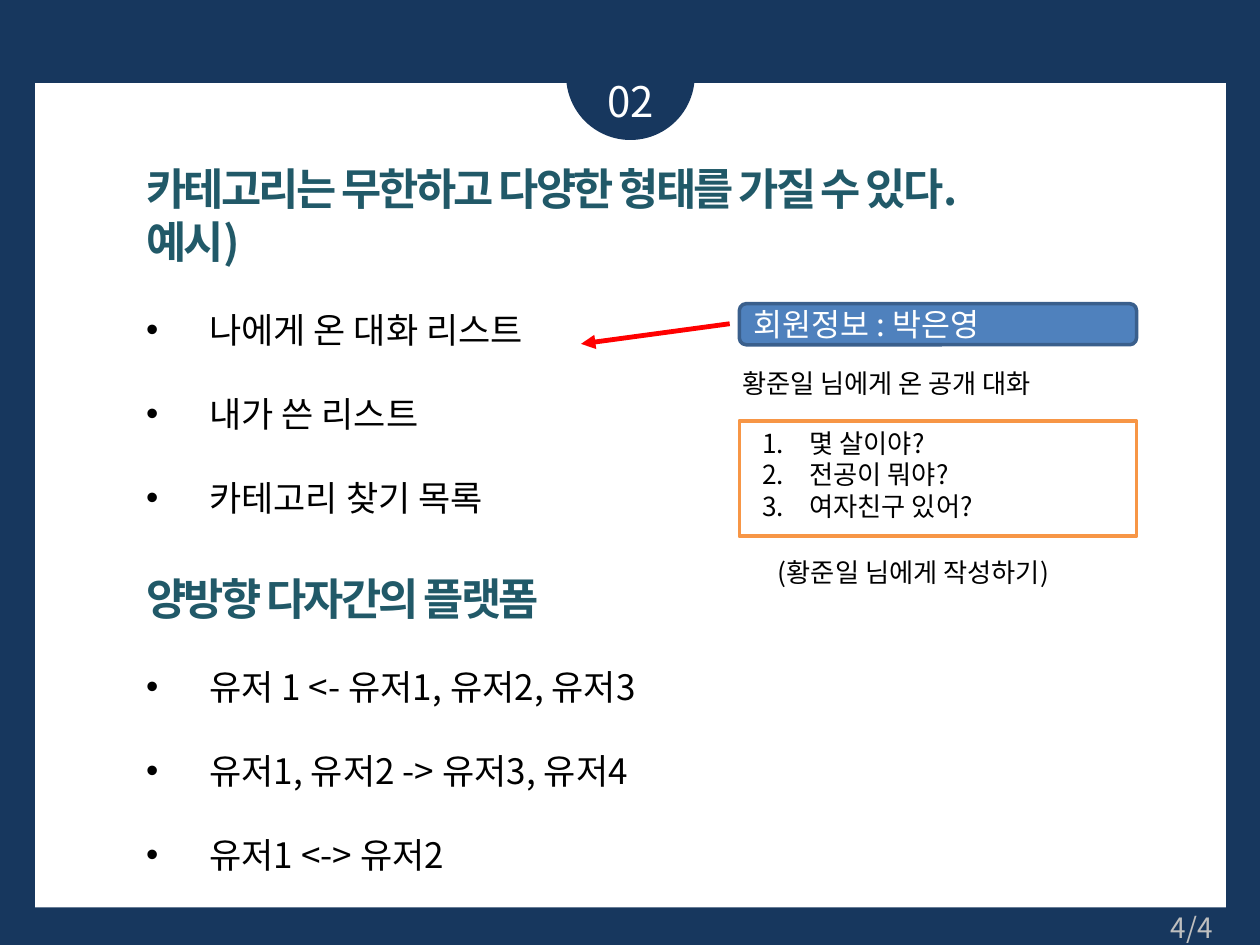
from pptx import Presentation
from pptx.dml.color import RGBColor
from pptx.enum.shapes import MSO_CONNECTOR as CONN, MSO_SHAPE as SHAPE
from pptx.enum.text import MSO_ANCHOR as ANCHOR, PP_ALIGN as ALIGN
from pptx.oxml.ns import qn
from pptx.util import Pt
from lxml.etree import SubElement

FONT = "Noto Sans CJK KR"
C = {
    "navy": "17375E", "white": "FFFFFF", "black": "000000", "teal": "215968",
    "gray": "BFBFBF", "blue": "4F81BD", "edge": "3A5F8C", "orange": "F79646",
    "red": "FF0000",
}


def rgb(name):
    return RGBColor.from_string(C[name])


def add_box(s, kind, box, fill, line=None):
    sp = s.shapes.add_shape(kind, *map(Pt, box))
    sp.shadow.inherit = False
    sp.fill.solid()
    sp.fill.fore_color.rgb = rgb(fill)
    if line:
        sp.line.color.rgb = rgb(line)
        sp.line.width = Pt(2)
    else:
        sp.line.fill.background()
    return sp


def add_frame(s, box):
    tf = s.shapes.add_textbox(*map(Pt, box)).text_frame
    tf.word_wrap = True
    return tf


def add_line(tf, text, size, color, pitch=None, align=ALIGN.LEFT, bold=False, tracking=0):
    p = tf.paragraphs[0]
    if p.runs:
        p = tf.add_paragraph()
    p.alignment = align
    p.line_spacing = Pt(pitch or size * 1.2)
    r = p.add_run()
    r.text = text
    r.font.size, r.font.bold, r.font.name = Pt(size), bold, FONT
    r.font.color.rgb = rgb(color)
    rPr = r._r.get_or_add_rPr()
    SubElement(rPr, qn("a:ea")).set("typeface", FONT)
    if tracking:
        rPr.set("spc", str(round(tracking * 100)))
    return p


def set_bullet(p, indent, tag, **attrs):
    pPr = p._p.get_or_add_pPr()
    pPr.set("marL", str(Pt(indent)))
    pPr.set("indent", str(-Pt(indent)))
    SubElement(pPr, qn("a:buFont")).set("typeface", "Arial")
    bullet = SubElement(pPr, qn(tag))
    for key, value in attrs.items():
        bullet.set(key, value)


def add_backdrop(s, x, y, w, h):
    s.background.fill.solid()
    s.background.fill.fore_color.rgb = rgb("navy")
    add_box(s, SHAPE.RECTANGLE, (x, y, w, h), "white")
    d = 73.5
    add_box(s, SHAPE.OVAL, (x + (w - d) / 2, y - 41, d, d), "navy")
    add_line(add_frame(s, (x, y - 8, w, 36)), "02", 24, "white", align=ALIGN.CENTER)
    page = add_frame(s, (x + w - 136.5, y + h - 2, 136, 26))
    add_line(page, "4/4", 16, "gray", align=ALIGN.RIGHT)


def add_body(s, x, y, w, h):
    sections = [
        (["카테고리는 무한하고 다양한 형태를 가질 수 있다.", "예시)"], 30,
         ["나에게 온 대화 리스트", "내가 쓴 리스트", "카테고리 찾기 목록"]),
        (["양방향 다자간의 플랫폼"], 60,
         ["유저 1 <- 유저1, 유저2, 유저3", "유저1, 유저2 -> 유저3, 유저4", "유저1 <-> 유저2"]),
    ]
    tf = add_frame(s, (x, y, w, h))
    for headings, pitch, items in sections:
        for text in headings:
            add_line(tf, text, 25, "teal", pitch, bold=True, tracking=-1.5)
        for text in items:
            p = add_line(tf, text, 20, "black", 48)
            set_bullet(p, 36, "a:buChar", char="•")


def add_profile(s, x, y, w, h):
    header = add_box(s, SHAPE.ROUNDED_RECTANGLE, (x, y, w, 23.5), "blue", "edge")
    tf = header.text_frame
    tf.vertical_anchor = ANCHOR.MIDDLE
    add_line(tf, "회원정보 : 박은영", 18, "white")

    add_line(add_frame(s, (x - 5.5, y + 33, w + 28, 25)), "황준일 님에게 온 공개 대화", 15, "black")

    add_box(s, SHAPE.RECTANGLE, (x, y + 67, w, 66), "white", "orange")
    tf = add_frame(s, (x + 6, y + 67, w - 6, 62))
    for text in ["몇 살이야?", "전공이 뭐야?", "여자친구 있어?"]:
        p = add_line(tf, text, 15, "black")
        set_bullet(p, 27, "a:buAutoNum", type="arabicPeriod")

    footer = add_frame(s, (x - 16.5, y + h - 25, w + 5, 25))
    add_line(footer, "(황준일 님에게 작성하기)", 15, "black", align=ALIGN.CENTER)


def add_arrow(s, x1, y1, x2, y2):
    cn = s.shapes.add_connector(CONN.STRAIGHT, *map(Pt, (x1, y1, x2, y2)))
    cn.line.color.rgb = rgb("red")
    cn.line.width = Pt(2.75)
    SubElement(cn.line._get_or_add_ln(), qn("a:tailEnd")).set("type", "triangle")
    SubElement(cn._element.spPr, qn("a:effectLst"))


def main():
    prs = Presentation()
    prs.slide_width, prs.slide_height = Pt(720), Pt(540)
    s = prs.slides.add_slide(prs.slide_layouts[6])
    add_backdrop(s, 20, 47.5, 680.5, 471)
    add_body(s, 76.5, 89, 617.5, 430)
    add_profile(s, 422.5, 173.5, 227, 166)
    add_arrow(s, 417, 185, 332, 196.5)
    prs.save("out.pptx")


if __name__ == "__main__":
    main()
